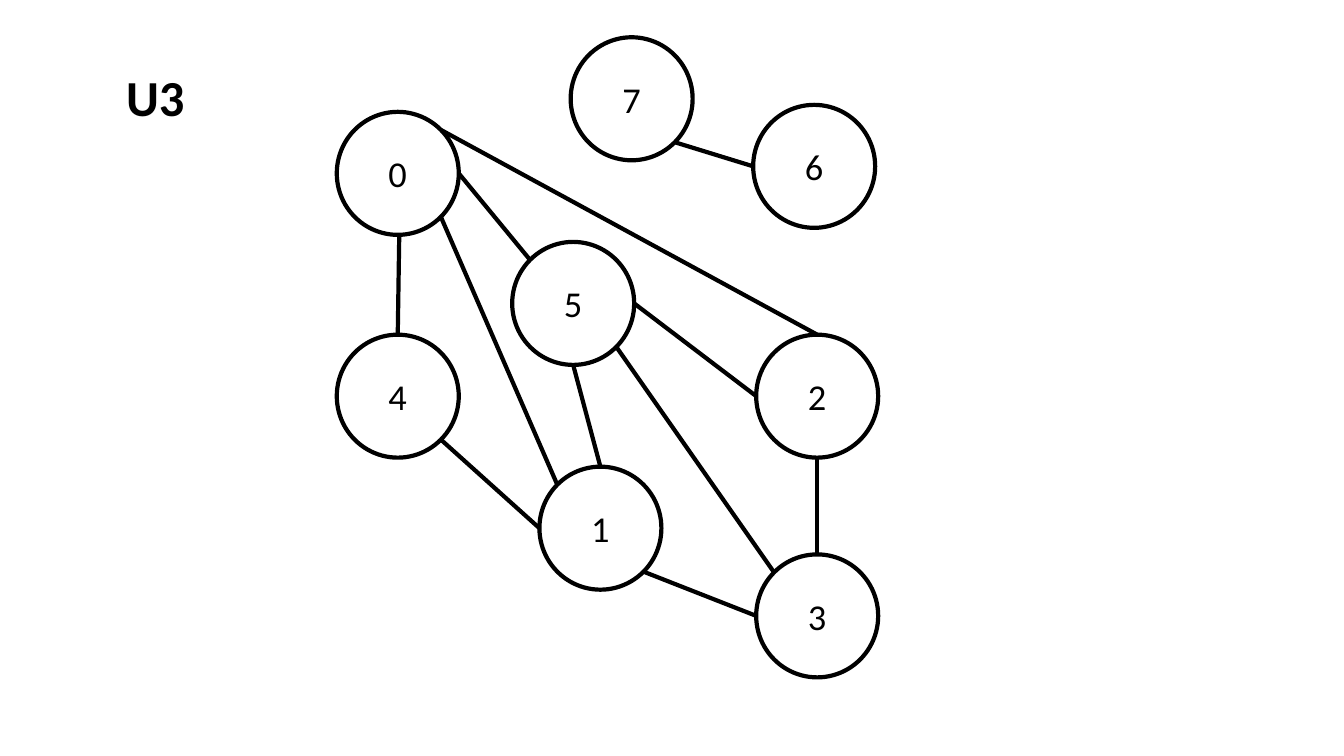
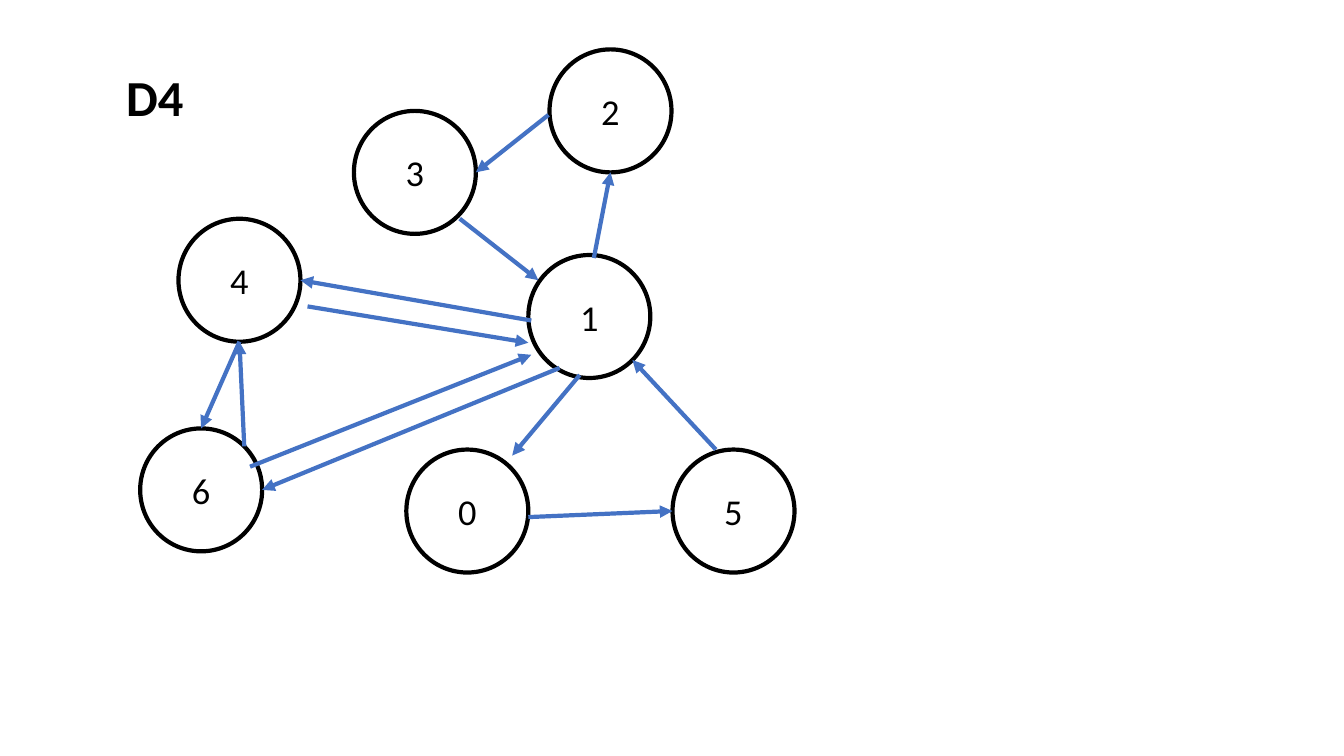
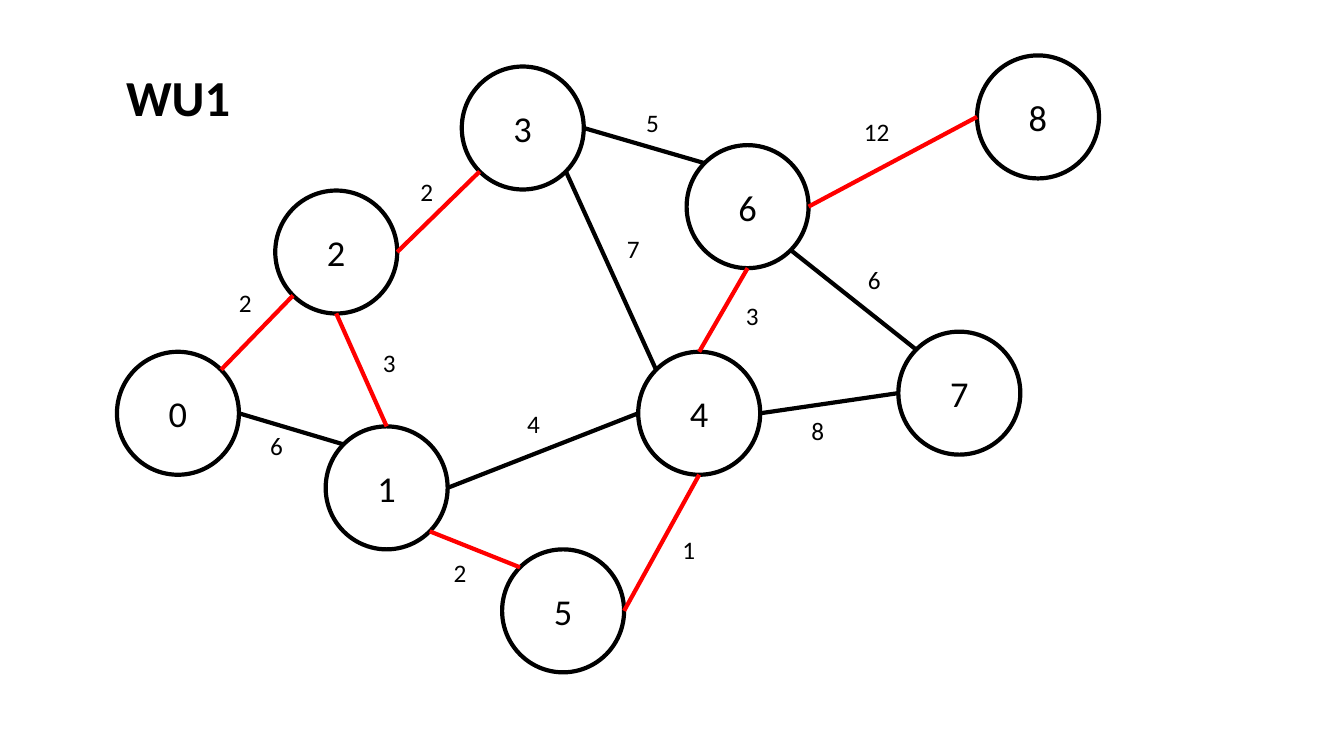
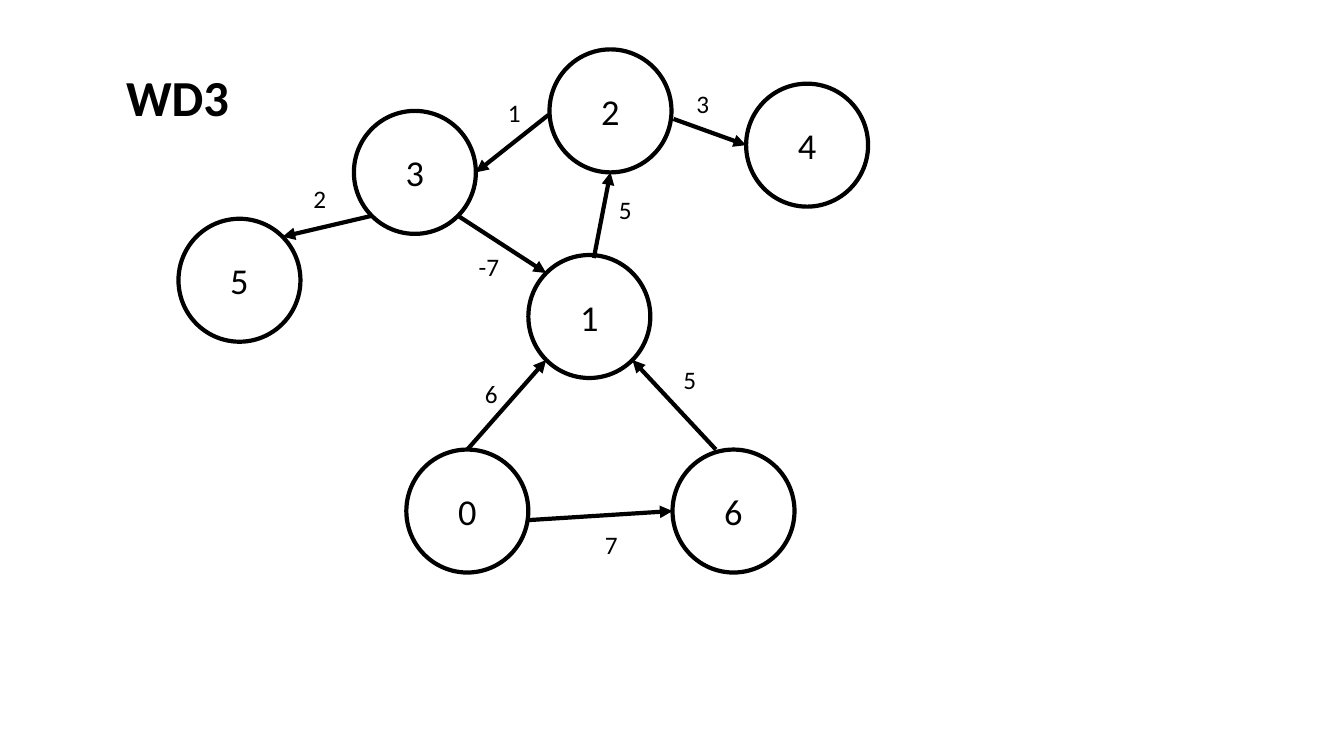
import math

import lxml.etree
import pptx
import pptx.dml.color
import pptx.enum.shapes
import pptx.enum.text
import pptx.oxml.ns
import pptx.util

Inches = pptx.util.Inches
Pt = pptx.util.Pt
ALIGN = pptx.enum.text.PP_ALIGN
ANCHOR = pptx.enum.text.MSO_ANCHOR
AUTO = pptx.enum.text.MSO_AUTO_SIZE

# Shared look
FONT = "Calibri"
BLACK, BLUE, RED = "000000", "4472C4", "FF0000"
LINE_WIDTH = 3
NODE_W, NODE_H = 1.21, 1.22
TITLE_BOX = (1.15, 0.61, 1.9, 0.71)
LABEL_H = 0.4

# Compass sides of a node, as angles clockwise from east
ANGLES = {side: i * math.pi / 4
          for i, side in enumerate(("e", "se", "s", "sw", "w", "nw", "n", "ne"))}


def rgb(color):
    return pptx.dml.color.RGBColor.from_string(color)


def add_text(tf, text, size, bold=False, color=BLACK, align=ALIGN.LEFT,
             anchor=ANCHOR.TOP, auto_size=AUTO.NONE):
    tf.word_wrap = True
    tf.auto_size = auto_size
    tf.vertical_anchor = anchor
    p = tf.paragraphs[0]
    p.alignment = align
    r = p.add_run()
    r.text = text
    r.font.name = FONT
    r.font.size = Pt(size)
    r.font.bold = bold
    r.font.color.rgb = rgb(color)


def style_line(line, color):
    line.color.rgb = rgb(color)
    line.width = Pt(LINE_WIDTH)


def add_slide(prs, layout, title):
    s = prs.slides.add_slide(layout)
    add_text(s.shapes.title.text_frame, title, 36, bold=True)
    return s


def add_nodes(s, nodes):
    for name, (x, y) in nodes.items():
        sp = s.shapes.add_shape(pptx.enum.shapes.MSO_SHAPE.OVAL, Inches(x), Inches(y),
                                Inches(NODE_W), Inches(NODE_H))
        sp.shadow.inherit = False
        sp.fill.background()
        style_line(sp.line, BLACK)
        add_text(sp.text_frame, name, 26, align=ALIGN.CENTER, anchor=ANCHOR.MIDDLE)


def locate(nodes, end):
    """Turn a node side such as "0ne", or a plain (x, y), into a point."""
    if isinstance(end, tuple):
        return end
    x, y = nodes[end[0]]
    angle = ANGLES[end[1:]]
    return (x + NODE_W / 2 * (1 + math.cos(angle)),
            y + NODE_H / 2 * (1 + math.sin(angle)))


def add_edges(s, nodes, edges, color=BLACK, arrow=False):
    for start, end in edges:
        points = locate(nodes, start) + locate(nodes, end)
        cx = s.shapes.add_connector(pptx.enum.shapes.MSO_CONNECTOR.STRAIGHT,
                                    *map(Inches, points))
        style_line(cx.line, color)
        qn = pptx.oxml.ns.qn
        if arrow:
            lxml.etree.SubElement(cx.line._get_or_add_ln(), qn("a:tailEnd"), type="triangle")
        lxml.etree.SubElement(cx._element.spPr, qn("a:effectLst"))


def add_weights(s, weights, width):
    for text, x, y in weights:
        box_width = 0.53 if text == "12" else width
        sp = s.shapes.add_textbox(Inches(x), Inches(y), Inches(box_width), Inches(LABEL_H))
        add_text(sp.text_frame, text, 18, auto_size=AUTO.SHAPE_TO_FIT_TEXT)


# Undirected graph
def build_u3(prs, layout):
    s = add_slide(prs, layout, "U3")
    nodes = {"5": (5.08, 2.4), "1": (5.35, 4.63), "2": (7.5, 3.32), "3": (7.5, 5.5),
             "4": (3.34, 3.32), "0": (3.34, 1.11), "6": (7.47, 1.04), "7": (5.66, 0.37)}
    add_nodes(s, nodes)
    add_edges(s, nodes, [
        ((3.96, 2.33), "4n"), ("5s", "1n"), ("2s", "3n"), ("5e", "2w"),
        ("1se", "3w"), ("0e", "5nw"), ("4se", "1w"), ("5se", "3nw"),
        ("0se", "1nw"), ("0ne", "2n"), ("6w", "7se")])


# Directed graph
def build_d4(prs, layout):
    s = add_slide(prs, layout, "D4")
    nodes = {"3": (3.51, 1.1), "1": (5.24, 2.53), "4": (1.77, 2.17), "0": (4.03, 4.46),
             "2": (5.45, 0.49), "5": (6.67, 4.46), "6": (1.39, 4.25)}
    add_nodes(s, nodes)
    add_edges(s, nodes, [
        ((7.1, 4.46), "1se"), ((5.89, 2.56), "2s"), ((5.44, 1.14), "3e"),
        ("4s", "6n"), ("6ne", "4s"), ((5.24, 5.13), "5w"),
        ((4.56, 2.17), (5.34, 2.78)), ((5.27, 3.18), "4e"),
        ((3.05, 3.04), (5.24, 3.4)), ((5.55, 3.65), "6e"),
        ((5.75, 3.72), (5.08, 4.52)), ((2.48, 4.63), (5.27, 3.52))],
        color=BLUE, arrow=True)


# Weighted undirected graph with its spanning tree in red
def build_wu1(prs, layout):
    s = add_slide(prs, layout, "WU1")
    nodes = {"3": (4.58, 0.66), "2": (2.73, 1.89), "4": (6.33, 3.49), "1": (3.23, 4.23),
             "6": (6.81, 1.44), "5": (4.98, 5.45), "0": (1.16, 3.49), "7": (8.91, 3.29),
             "8": (9.69, 0.55)}
    add_nodes(s, nodes)
    add_edges(s, nodes, [("0e", "1nw"), ("1e", "4w"), ("4e", "7w"), ("6se", "7nw"),
                         ("3e", "6nw"), ("3se", "4nw")])
    add_edges(s, nodes, [("0ne", "2sw"), ("1se", "5nw"), ("5e", "4s"), ("6e", "8w"),
                         ("2e", "3sw"), ("2s", "1n"), ("6s", "4n")], color=RED)
    add_weights(s, [
        ("5", 6.31, 1.02), ("7", 6.12, 2.27), ("3", 3.7, 3.4), ("2", 2.27, 2.8),
        ("6", 2.58, 4.22), ("2", 4.07, 1.7), ("4", 5.13, 4), ("2", 4.4, 5.48),
        ("1", 6.67, 5.25), ("8", 7.95, 4.07), ("6", 8.51, 2.57), ("12", 8.47, 1.11),
        ("3", 7.3, 2.93)], width=0.35)


# Weighted directed graph
def build_wd3(prs, layout):
    s = add_slide(prs, layout, "WD3")
    nodes = {"3": (3.51, 1.1), "1": (5.24, 2.53), "5": (1.77, 2.17), "0": (4.03, 4.46),
             "4": (7.4, 0.83), "2": (5.45, 0.49), "6": (6.67, 4.46)}
    add_nodes(s, nodes)
    add_edges(s, nodes, [
        ("0n", "1sw"), ((7.1, 4.46), "1se"), ((5.89, 2.56), "2s"), ((6.68, 1.18), "4w"),
        ((5.44, 1.14), "3e"), ((5.24, 5.16), "6w"), ("3sw", "5ne"), ("3se", "1nw")],
        arrow=True)
    add_weights(s, [
        ("5", 6.68, 3.57), ("7", 5.9, 5.2), ("6", 4.71, 3.7), ("-7", 4.65, 2.44),
        ("5", 6.04, 1.88), ("1", 4.94, 0.92), ("3", 6.81, 0.83), ("2", 3.01, 1.77)],
        width=0.47)


def main():
    prs = pptx.Presentation()
    prs.slide_width, prs.slide_height = Inches(13.33), Inches(7.5)

    # Title position, inherited by every slide
    layout = prs.slide_layouts.get_by_name("Title Only")
    title = layout.placeholders[0]
    title.left, title.top, title.width, title.height = map(Inches, TITLE_BOX)

    for build in (build_u3, build_d4, build_wu1, build_wd3):
        build(prs, layout)
    prs.save("out.pptx")


main()
